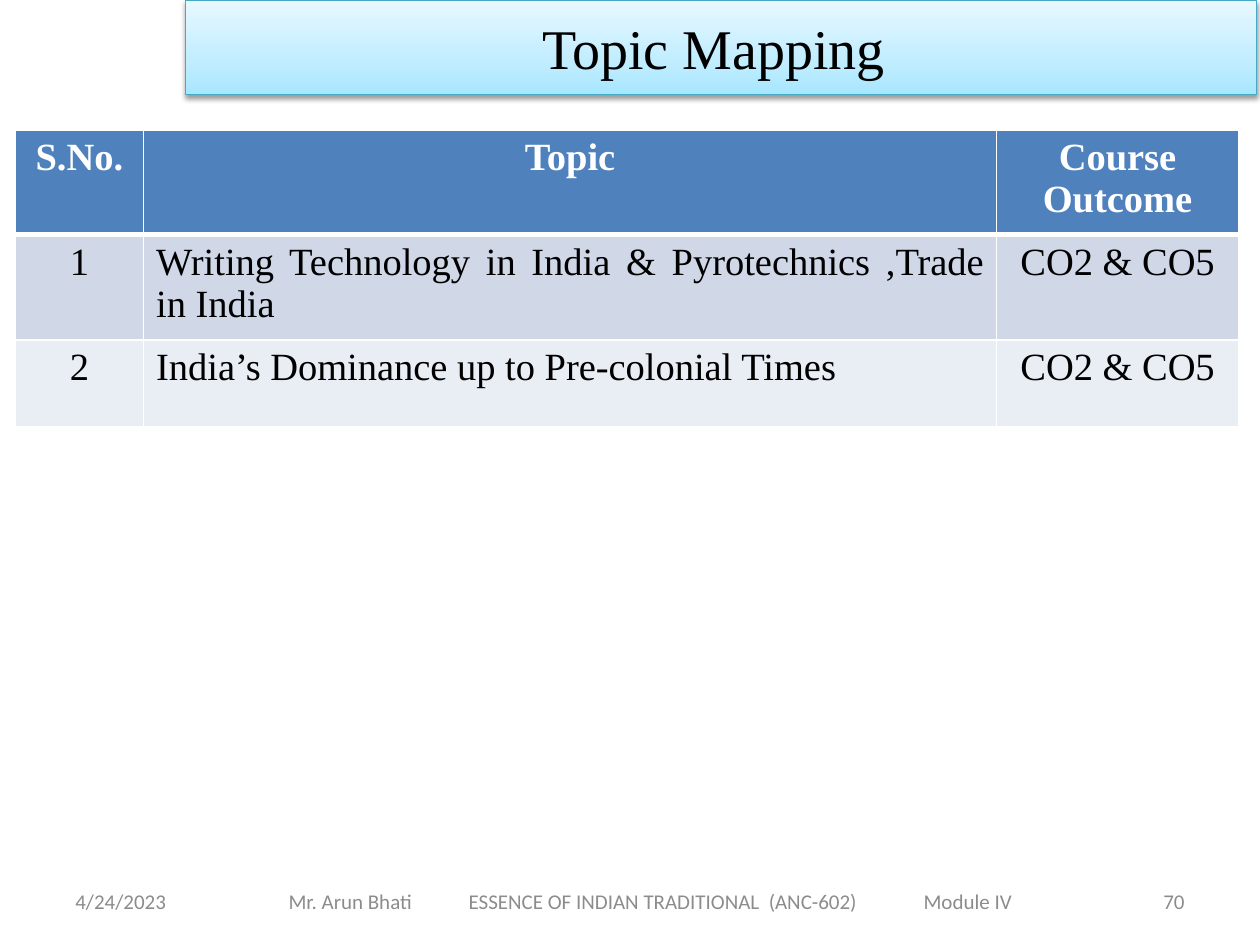
from copy import deepcopy

from lxml import etree
from pptx import Presentation
from pptx.dml.color import RGBColor
from pptx.enum.text import MSO_ANCHOR, PP_ALIGN
from pptx.oxml import parse_xml
from pptx.oxml.ns import nsdecls, qn
from pptx.util import Inches, Pt

LEFT, CENTER = PP_ALIGN.LEFT, PP_ALIGN.CENTER
RIGHT, JUSTIFY = PP_ALIGN.RIGHT, PP_ALIGN.JUSTIFY
MIDDLE = MSO_ANCHOR.MIDDLE
SERIF, SANS = "Times New Roman", "Calibri"

COLS = [1.02, 6.77, 1.92]
ROWS = [0.81, 0.78, 0.69]
FILLS = ["4F81BD", "D0D8E8", "E9EDF4"]
TOPICS = [
    ["S.No.", "Topic", "Course Outcome"],
    ["1", "Writing Technology in India & Pyrotechnics ,Trade in India", "CO2 & CO5"],
    ["2", "India’s Dominance up to Pre-colonial Times ", "CO2 & CO5"],
]


def color(code):
    return RGBColor.from_string(code)


def style(para, face, size, code, align, bold=False):
    para.alignment = align
    for run in para.runs:
        font = run.font
        font.name, font.size, font.bold = face, Pt(size), bold
        font.color.rgb = color(code)


def place(shape, box):
    shape.left, shape.top, shape.width, shape.height = map(Inches, box)


def add_title(slide, box):
    title = slide.shapes.title
    place(title, box)
    # Gradient from the bottom up
    title.fill.gradient()
    title.fill.gradient_angle = 90
    stops = title.element.spPr.find(".//" + qn("a:gsLst"))
    stops.append(deepcopy(stops[0]))
    shades = [(0, "A7E6FF"), (0.35, "C1EDFF"), (1, "E7F8FF")]
    for stop, (pos, code) in zip(title.fill.gradient_stops, shades):
        stop.position = pos
        stop.color.rgb = color(code)
    title.line.color.rgb = color("46AAC5")
    title.line.width = Pt(0.75)
    # Soft shadow below
    title.element.spPr.append(parse_xml(
        f'<a:effectLst {nsdecls("a")}><a:outerShdw blurRad="{Pt(3.1)}" '
        f'dist="{Pt(1.6)}" dir="5400000" rotWithShape="0"><a:srgbClr val="000000">'
        '<a:alpha val="38000"/></a:srgbClr></a:outerShdw></a:effectLst>'))
    frame = title.text_frame
    frame.text = "Topic Mapping "
    frame.vertical_anchor = MIDDLE
    style(frame.paragraphs[0], SERIF, 32, "000000", CENTER)


def add_edges(cell, row):
    props = cell._tc.get_or_add_tcPr()
    for side in "LRTB":
        thick = (row, side) in [(0, "B"), (1, "T")]
        edge = etree.SubElement(props, qn("a:ln" + side), w=str(Pt(3 if thick else 1)))
        fill = etree.SubElement(edge, qn("a:solidFill"))
        etree.SubElement(fill, qn("a:srgbClr"), val="FFFFFF")


def add_topics(slide, box):
    table = slide.shapes.add_table(len(ROWS), len(COLS), *map(Inches, box)).table
    for col, width in zip(table.columns, COLS):
        col.width = Inches(width)
    for r, texts in enumerate(TOPICS):
        table.rows[r].height = Inches(ROWS[r])
        head = r == 0
        for c, text in enumerate(texts):
            cell = table.cell(r, c)
            add_edges(cell, r)
            cell.fill.solid()
            cell.fill.fore_color.rgb = color(FILLS[r])
            cell.text_frame.text = text
            align = JUSTIFY if c == 1 and not head else CENTER
            style(cell.text_frame.paragraphs[0], SERIF, 22,
                  "FFFFFF" if head else "000000", align, head)


def add_note(slide, box, text, align, inset=0.1, tabs=()):
    frame = slide.shapes.add_textbox(*map(Inches, box)).text_frame
    frame.word_wrap = True
    frame.vertical_anchor = MIDDLE
    frame.margin_left = Inches(inset)
    frame.text = text
    para = frame.paragraphs[0]
    if tabs:
        stops = etree.SubElement(para._p.get_or_add_pPr(), qn("a:tabLst"))
        for pos in tabs:
            etree.SubElement(stops, qn("a:tab"), pos=str(Inches(pos)), algn="l")
    style(para, SANS, 12, "8C8C8C", align)


def add_footer(slide, box):
    left, top, width, height = box
    side = 2.33
    add_note(slide, (left, top, side, height), "4/24/2023", LEFT)
    add_note(slide, (1.75, top, 6.83, height),
             "Mr. Arun Bhati\tESSENCE OF INDIAN TRADITIONAL  (ANC-602)\tModule IV",
             LEFT, 0.54, (1.43, 5.04))
    add_note(slide, (left + width - side, top, side, height), "70", RIGHT)


def main():
    deck = Presentation()
    deck.slide_width, deck.slide_height = Inches(10), Inches(7.5)
    slide = deck.slides.add_slide(deck.slide_layouts[5])
    add_footer(slide, (0.5, 6.95, 9, 0.4))
    add_title(slide, (1.47, 0, 8.5, 0.75))
    add_topics(slide, (0.12, 1.03, sum(COLS), sum(ROWS)))
    deck.save("out.pptx")


if __name__ == "__main__":
    main()
